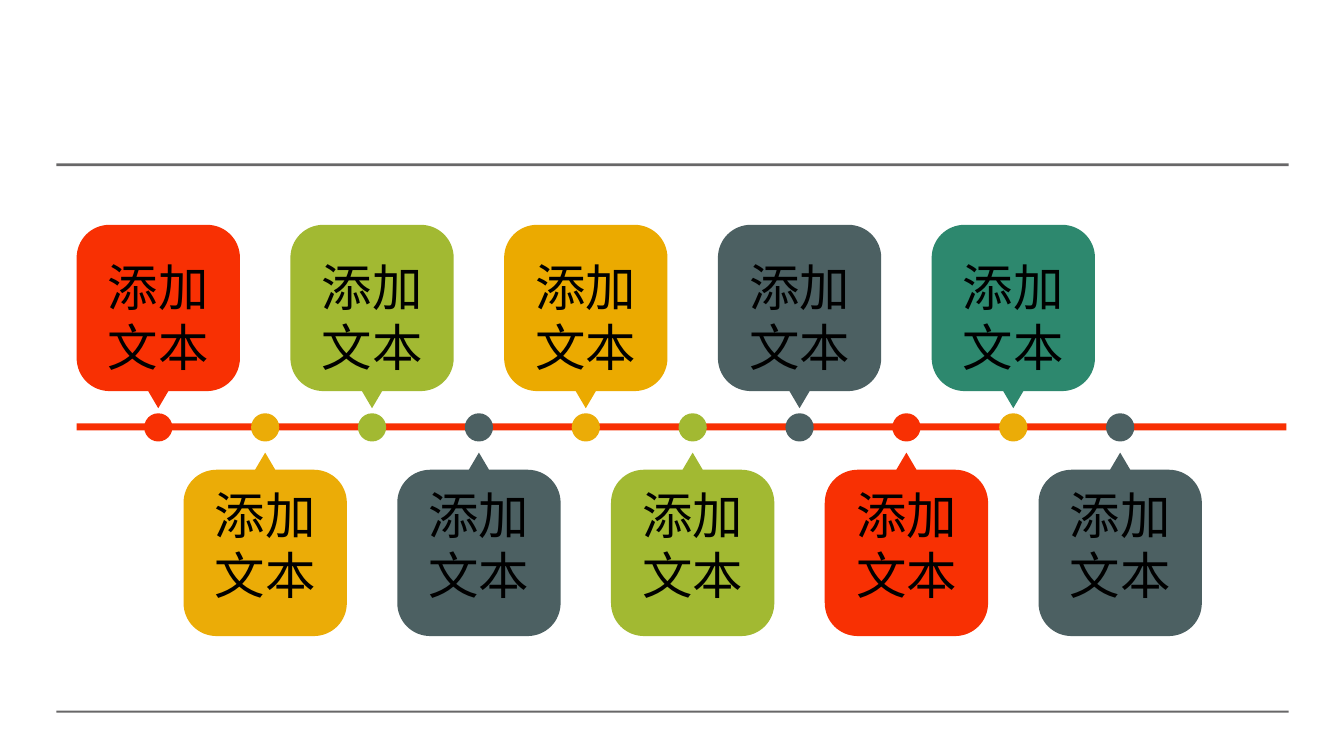
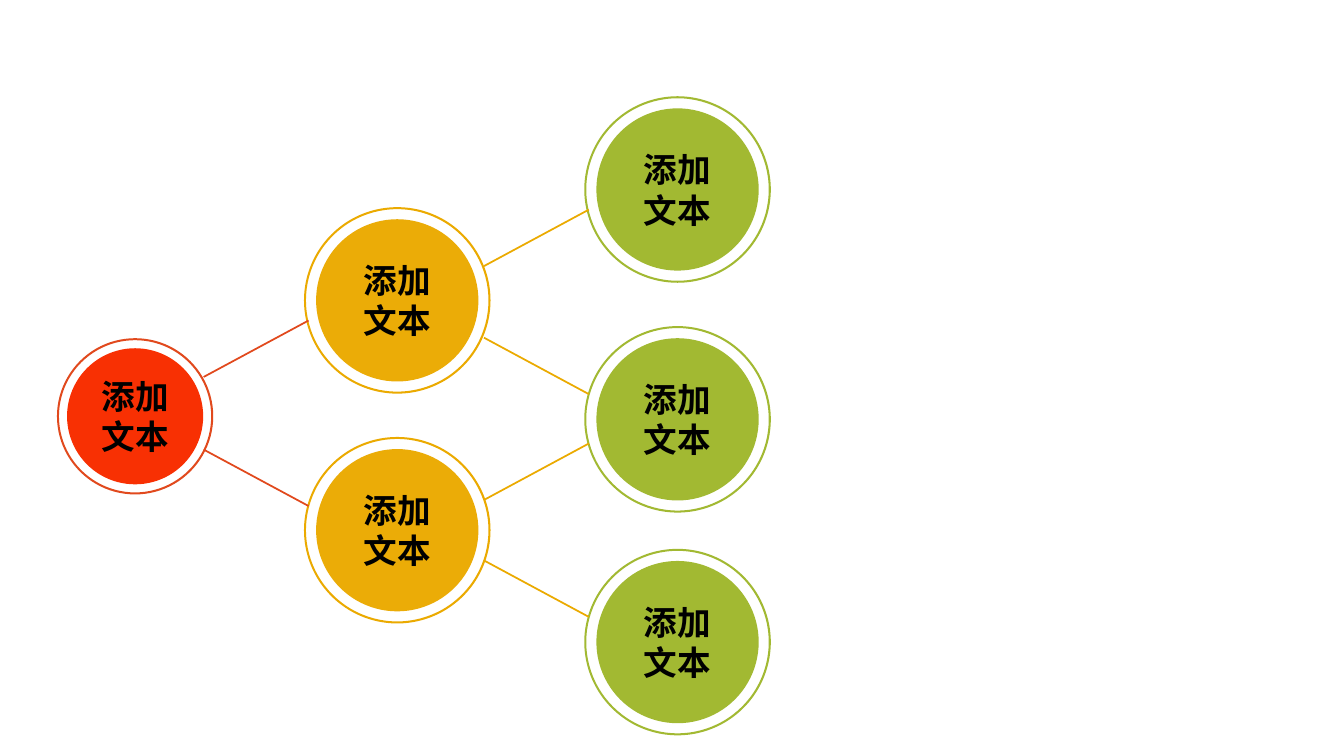
from dataclasses import dataclass

import lxml.etree
import pptx
import pptx.dml.color
import pptx.enum.shapes
import pptx.enum.text
import pptx.oxml.ns
import pptx.util
from pptx.shapes.autoshape import Shape
from pptx.slide import Slide

PRESET = pptx.enum.shapes.MSO_SHAPE
FONT = "Noto Sans CJK SC"
BLACK, GREY = "000000", "686768"
RED, AMBER, LIME, SLATE, TEAL = "F83003", "EBAC07", "A2B932", "4C6062", "2D886E"
GOLD, RUST = "EBAA00", "E1491D"

# Timeline grid: ten equal slots along the axis
FIRST_SLOT, SLOT_STEP = 1.57, 1.06
AXIS_Y, DOT_SIZE = 4.24, 0.28
UPPER_TIP, LOWER_TIP = 4.05, 4.49
CALLOUT_HALF, CALLOUT_BODY, CALLOUT_TIP = 0.81, 1.65, 0.17
CORNER, TIP_HALF = 0.33, 0.1
CORNER_SEGMENTS = (2, 4, 6, 8)
ROUNDNESS = 0.56

# Tree grid: three levels from left to right
LEVEL_X = (1.34, 3.94, 6.72)
RING_WIDTH = 0.02
BRANCH_START = (2.02, 4.8)
BRANCH_RUN, BRANCH_RISE = 1.04, 0.56


@dataclass(frozen=True)
class Milestone:
    dot: str
    callout: str


@dataclass(frozen=True)
class Node:
    level: int
    y: float
    ring: str
    disc: str
    ring_size: float = 1.85
    disc_size: float = 1.61


@dataclass(frozen=True)
class Branch:
    level: int
    y: float
    direction: int
    colour: str


MILESTONES = (
    Milestone(RED, RED),
    Milestone(AMBER, AMBER),
    Milestone(LIME, LIME),
    Milestone(SLATE, SLATE),
    Milestone(AMBER, GOLD),
    Milestone(LIME, LIME),
    Milestone(SLATE, SLATE),
    Milestone(RED, RED),
    Milestone(AMBER, TEAL),
    Milestone(SLATE, SLATE),
)
NODES = (
    Node(0, 4.13, RUST, RED, 1.55, 1.35),
    *(Node(1, y, GOLD, AMBER) for y in (2.98, 5.26)),
    *(Node(2, y, LIME, LIME) for y in (1.88, 4.16, 6.37)),
)
BRANCHES = (
    Branch(0, 3.74, -1, RUST),
    Branch(0, 4.46, 1, RUST),
    Branch(1, 2.64, -1, GOLD),
    Branch(1, 3.35, 1, GOLD),
    Branch(1, 4.96, -1, GOLD),
    Branch(1, 5.56, 1, GOLD),
)


def rgb(value: str) -> pptx.dml.color.RGBColor:
    return pptx.dml.color.RGBColor.from_string(value)


def paint(shape: Shape, colour: str) -> Shape:
    """Give a shape a flat fill with neither outline nor shadow."""
    shape.shadow.inherit = False
    shape.fill.solid()
    shape.fill.fore_color.rgb = rgb(colour)
    shape.line.fill.background()
    return shape


def add_preset(slide: Slide, preset: PRESET, left: float, top: float,
               width: float, height: float, colour: str) -> Shape:
    box = [pptx.util.Inches(length) for length in (left, top, width, height)]
    return paint(slide.shapes.add_shape(preset, *box), colour)


def add_round(slide: Slide, preset: PRESET, x: float, y: float, size: float,
              colour: str) -> Shape:
    """Add a circular preset centred on x, y."""
    return add_preset(slide, preset, x - size / 2, y - size / 2, size, size, colour)


def write(shape: Shape, text: str, size: int, bold: bool = False) -> None:
    frame = shape.text_frame
    frame.text = text
    frame.word_wrap = True
    frame.vertical_anchor = pptx.enum.text.MSO_ANCHOR.MIDDLE
    for paragraph in frame.paragraphs:
        paragraph.alignment = pptx.enum.text.PP_ALIGN.CENTER
        for run in paragraph.runs:
            run.font.size = pptx.util.Pt(size)
            run.font.bold = bold
            run.font.color.rgb = rgb(BLACK)
            run.font.name = FONT
            properties = run._r.get_or_add_rPr()
            east_asian = lxml.etree.SubElement(properties, pptx.oxml.ns.qn("a:ea"))
            east_asian.set("typeface", FONT)


def callout_outline() -> list[tuple[float, float]]:
    """Return offsets from the tip, with each corner cut by a straight chord."""
    near, far = CALLOUT_TIP, CALLOUT_TIP + CALLOUT_BODY
    side = CALLOUT_HALF - CORNER
    right = [(TIP_HALF, near), (side, near), (CALLOUT_HALF, near + CORNER),
             (CALLOUT_HALF, far - CORNER), (side, far)]
    return [(0, 0), *right, *((-x, y) for x, y in reversed(right))]


def round_corners(callout: Shape) -> None:
    """Turn the chord across each corner into a curve."""
    qn = pptx.oxml.ns.qn
    segments = list(callout._element.iter(qn("a:lnTo")))
    ends = [(int(segment[0].get("x")), int(segment[0].get("y"))) for segment in segments]
    for order, index in enumerate(CORNER_SEGMENTS):
        start, end = ends[index - 1], ends[index]
        corner = (start[0], end[1]) if order % 2 else (end[0], start[1])
        curve = lxml.etree.Element(qn("a:cubicBezTo"))
        controls = [tuple(round(a + ROUNDNESS * (c - a)) for a, c in zip(anchor, corner))
                    for anchor in (start, end)]
        for x, y in (*controls, end):
            lxml.etree.SubElement(curve, qn("a:pt"), x=str(x), y=str(y))
        segments[index].getparent().replace(segments[index], curve)


def add_callout(slide: Slide, x: float, tip_y: float, direction: int, colour: str) -> None:
    points = [(pptx.util.Inches(x + dx), pptx.util.Inches(tip_y + direction * dy))
              for dx, dy in callout_outline()]
    builder = slide.shapes.build_freeform(*points[0], scale=1.0)
    builder.add_line_segments(points[1:], close=True)
    callout = paint(builder.convert_to_shape(), colour)
    round_corners(callout)
    write(callout, "添加文本", 36)


def add_node(slide: Slide, node: Node) -> None:
    x = LEVEL_X[node.level]
    ring = add_round(slide, PRESET.DONUT, x, node.y, node.ring_size, node.ring)
    ring.adjustments[0] = RING_WIDTH / node.ring_size
    disc = add_round(slide, PRESET.OVAL, x, node.y, node.disc_size, node.disc)
    write(disc, "添加\n文本", 24, bold=True)


def add_branch(slide: Slide, branch: Branch) -> None:
    x = BRANCH_START[branch.level]
    ends = (x, branch.y, x + BRANCH_RUN, branch.y + branch.direction * BRANCH_RISE)
    line = slide.shapes.add_connector(
        pptx.enum.shapes.MSO_CONNECTOR.STRAIGHT,
        *(pptx.util.Inches(length) for length in ends))
    line.line.color.rgb = rgb(branch.colour)
    line.line.width = pptx.util.Pt(1.25)
    lxml.etree.SubElement(line._element.spPr, pptx.oxml.ns.qn("a:effectLst"))


def build_timeline(slide: Slide) -> None:
    for top, height in ((1.62, 0.03), (7.05, 0.02)):
        add_preset(slide, PRESET.RECTANGLE, 0.56, top, 12.22, height, GREY)
    add_preset(slide, PRESET.RECTANGLE, 0.76, 4.2, 12, 0.07, RED)
    slots = [FIRST_SLOT + slot * SLOT_STEP for slot in range(len(MILESTONES))]
    for x, milestone in zip(slots, MILESTONES):
        add_round(slide, PRESET.OVAL, x, AXIS_Y, DOT_SIZE, milestone.dot)
    for x, milestone in zip(slots[::2], MILESTONES[::2]):
        add_callout(slide, x, UPPER_TIP, -1, milestone.callout)
    for x, milestone in zip(slots[::-2], MILESTONES[::-2]):
        add_callout(slide, x, LOWER_TIP, 1, milestone.callout)


def build_tree(slide: Slide) -> None:
    for node in NODES:
        add_node(slide, node)
    for branch in BRANCHES:
        add_branch(slide, branch)


def main() -> None:
    deck = pptx.Presentation()
    deck.slide_width = pptx.util.Inches(13.33)
    deck.slide_height = pptx.util.Inches(7.5)
    blank = deck.slide_layouts[6]
    for build in (build_timeline, build_tree):
        build(deck.slides.add_slide(blank))
    deck.save("out.pptx")


if __name__ == "__main__":
    main()
